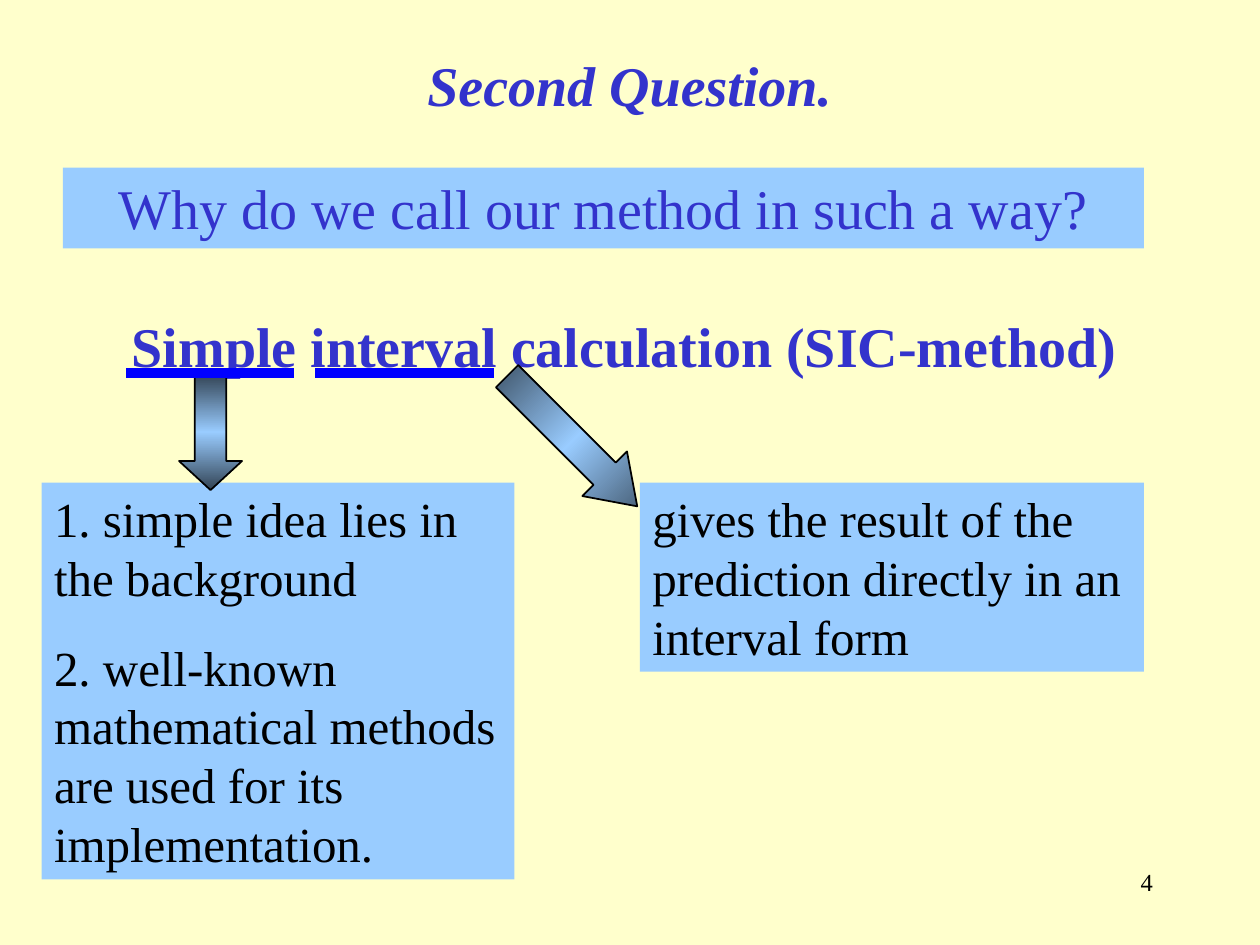
from copy import deepcopy
from dataclasses import dataclass

from lxml.etree import SubElement
from pptx import Presentation
from pptx.dml.color import RGBColor
from pptx.enum.shapes import MSO_CONNECTOR, MSO_SHAPE
from pptx.enum.text import MSO_ANCHOR, PP_ALIGN
from pptx.oxml.ns import qn
from pptx.util import Cm, Pt

FONT = "Times New Roman"
CREAM, SKY, SLATE = "FFFFCC", "99CCFF", "324354"
INDIGO, BLUE, BLACK = "3333CC", "0000FF", "000000"


@dataclass
class Box:
    """Position and size in centimetres."""
    left: float
    top: float
    width: float
    height: float

    def lengths(self) -> tuple:
        return Cm(self.left), Cm(self.top), Cm(self.width), Cm(self.height)


@dataclass
class Explanation:
    """An underlined word, its arrow and the panel that explains it."""
    panel: Box
    paragraphs: list[str]
    arrow: Box
    head: float
    rotation: float
    underline: tuple[float, float]


UNDERLINE_TOP = 7.52
EXPLANATIONS = [
    Explanation(Box(0.84, 9.73, 9.53, 8.0),
                ["1. simple idea lies in the background",
                 "2. well-known mathematical methods are used for its implementation."],
                Box(3.61, 7.54, 1.27, 2.34), 0.46, 0, (2.54, 5.92)),
    Explanation(Box(12.9, 9.73, 10.16, 3.81),
                ["gives the result of the prediction directly in an interval form"],
                Box(10.9, 7.04, 1.27, 3.71), 0.73, 315, (6.35, 9.96)),
]


def color(value: str) -> RGBColor:
    return RGBColor.from_string(value)


def write(frame, paragraphs: list[str], *, size: float, ink: str = BLACK,
          bold: bool = False, italic: bool = False, align=PP_ALIGN.LEFT,
          anchor=MSO_ANCHOR.TOP, gap: float = 0) -> None:
    frame.word_wrap = True
    frame.vertical_anchor = anchor
    for index, text in enumerate(paragraphs):
        paragraph = frame.paragraphs[0] if index == 0 else frame.add_paragraph()
        paragraph.alignment = align
        paragraph.space_before = Pt(gap if index else 0)
        run = paragraph.add_run()
        run.text = text
        font = run.font
        font.name, font.size = FONT, Pt(size)
        font.bold, font.italic = bold, italic
        font.color.rgb = color(ink)


def add_text(slide, box: Box, paragraphs: list[str], **style) -> None:
    write(slide.shapes.add_textbox(*box.lengths()).text_frame, paragraphs, **style)


def add_panel(slide, box: Box, paragraphs: list[str], **style) -> None:
    panel = slide.shapes.add_shape(MSO_SHAPE.RECTANGLE, *box.lengths())
    panel.shadow.inherit = False
    panel.fill.solid()
    panel.fill.fore_color.rgb = color(SKY)
    panel.line.fill.background()
    write(panel.text_frame, paragraphs, **style)


def add_arrow(slide, box: Box, head: float, rotation: float) -> None:
    arrow = slide.shapes.add_shape(MSO_SHAPE.DOWN_ARROW, *box.lengths())
    arrow.shadow.inherit = False
    arrow.rotation = rotation
    arrow.adjustments[0], arrow.adjustments[1] = 0.5, head
    arrow.line.color.rgb = color(BLACK)
    arrow.line.width = Pt(1)

    # Dark ends with a light middle
    arrow.fill.gradient()
    arrow.fill.gradient_angle = 270
    stop_list = arrow._element.spPr.find(qn("a:gradFill")).find(qn("a:gsLst"))
    stop_list.insert(1, deepcopy(stop_list[0]))
    shades = [(0, SLATE), (0.5, SKY), (1, SLATE)]
    for stop, (position, shade) in zip(arrow.fill.gradient_stops, shades):
        stop.position = position
        stop.color.rgb = color(shade)


def add_underline(slide, start: float, end: float) -> None:
    underline = slide.shapes.add_connector(
        MSO_CONNECTOR.STRAIGHT, Cm(start), Cm(UNDERLINE_TOP), Cm(end), Cm(UNDERLINE_TOP))
    underline.line.color.rgb = color(BLUE)
    underline.line.width = Pt(6)
    SubElement(underline._element.spPr, qn("a:effectLst"))


def main() -> None:
    presentation = Presentation()
    presentation.slide_width, presentation.slide_height = Cm(25.4), Cm(19.05)
    slide = presentation.slides.add_slide(presentation.slide_layouts[5])
    slide.background.fill.solid()
    slide.background.fill.fore_color.rgb = color(CREAM)

    # Title
    title = slide.shapes.title
    title.left, title.top, title.width, title.height = Box(1.9, 0.64, 21.59, 2.11).lengths()
    write(title.text_frame, ["Second Question."], size=32, ink=INDIGO, bold=True,
          italic=True, align=PP_ALIGN.CENTER, anchor=MSO_ANCHOR.MIDDLE)

    # Question and name of the method
    add_panel(slide, Box(1.27, 3.38, 21.79, 1.63),
              ["Why do we call our method in such a way?"],
              size=32, ink=INDIGO, align=PP_ALIGN.CENTER)
    add_text(slide, Box(1.7, 6.15, 21.79, 1.63),
             ["Simple interval calculation (SIC-method)"],
             size=32, ink=INDIGO, bold=True, align=PP_ALIGN.CENTER)

    # Explanations of the underlined words
    for item in EXPLANATIONS:
        add_panel(slide, item.panel, item.paragraphs, size=28, gap=17.5)
        add_arrow(slide, item.arrow, item.head, item.rotation)
        add_underline(slide, *item.underline)

    # Page number
    add_text(slide, Box(18.21, 17.35, 5.28, 1.27), ["4"], size=14, align=PP_ALIGN.RIGHT)

    presentation.save("out.pptx")


if __name__ == "__main__":
    main()
